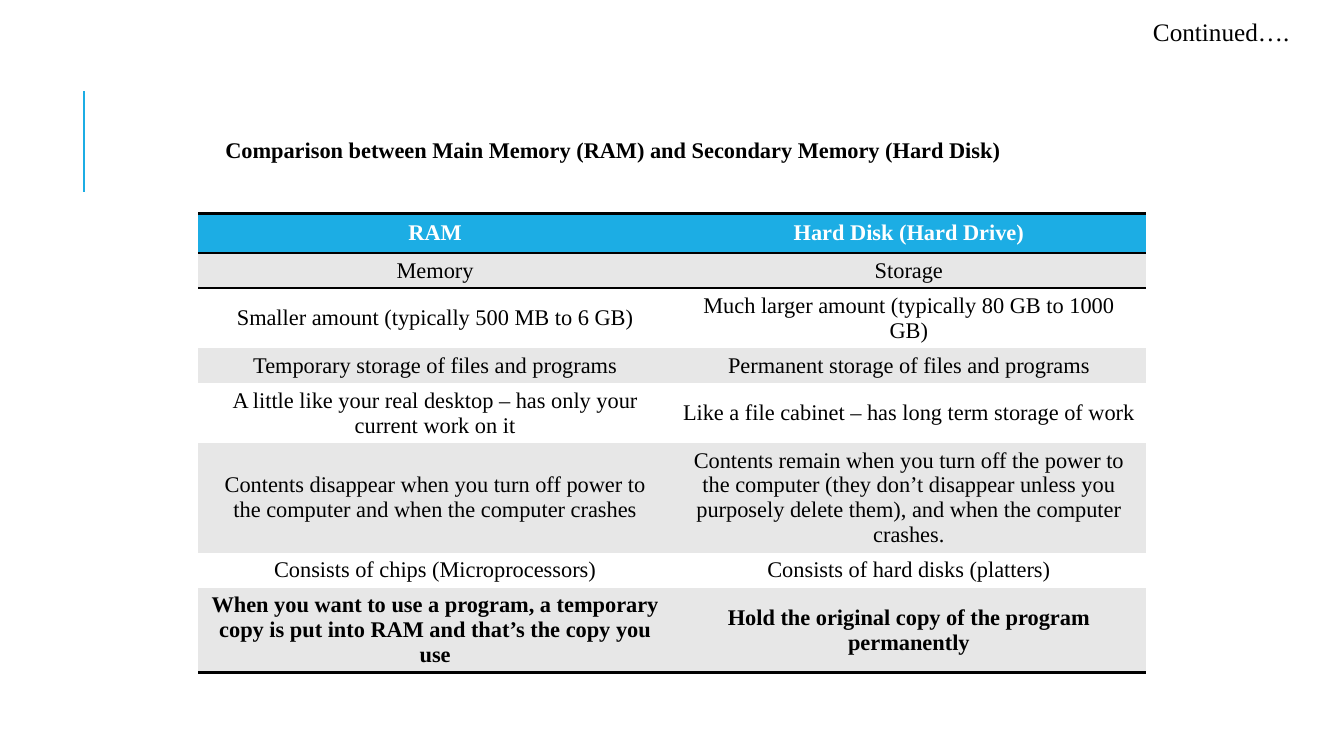
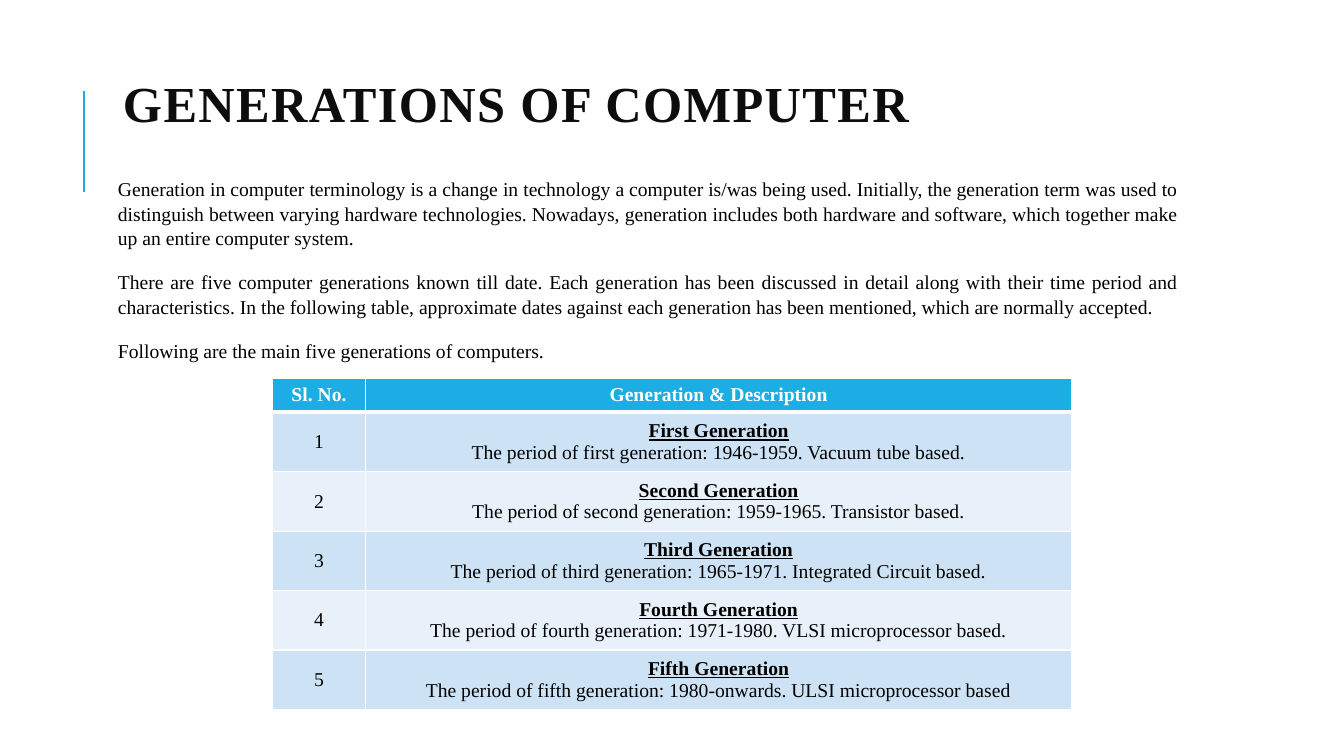
from lxml import etree
from pptx import Presentation
from pptx import util as u
from pptx.dml.color import RGBColor
from pptx.enum import shapes, text
from pptx.oxml.ns import qn

COLORS = {
    "accent": "1CADE4", "title": "0D0D0D", "black": "000000", "white": "FFFFFF",
    "gray": "E7E7E7", "blue": "CDE3F5", "pale": "E8F1FA",
}
FONT = "Times New Roman"
COLUMNS, ROWS = 80, 45
UNIT = u.Inches(7.5) / ROWS
NO_STYLE = "{2D5ABB26-0587-4C30-8999-92F81FD0307C}"
CENTER, JUSTIFY = text.PP_ALIGN.CENTER, text.PP_ALIGN.JUSTIFY
TOP, MIDDLE = text.MSO_ANCHOR.TOP, text.MSO_ANCHOR.MIDDLE

COMPARISON = [
    ("RAM", "Hard Disk (Hard Drive)"),
    ("Memory", "Storage"),
    ("Smaller amount (typically 500 MB to 6 GB)",
     "Much larger amount (typically 80 GB to 1000 GB)"),
    ("Temporary storage of files and programs",
     "Permanent storage of files and programs"),
    ("A little like your real desktop – has only your current work on it",
     "Like a file cabinet – has long term storage of work"),
    ("Contents disappear when you turn off power to the computer and when the computer crashes",
     "Contents remain when you turn off the power to the computer (they don’t disappear "
     "unless you purposely delete them), and when the computer crashes."),
    ("Consists of chips (Microprocessors)", "Consists of hard disks (platters)"),
    ("When you want to use a program, a temporary copy is put into RAM and that’s the copy you use",
     "Hold the original copy of the program permanently"),
]
COMPARISON_LINES = [1, 2, 1, 2, 4, 1, 3]
INTRODUCTION = [
    "Generation in computer terminology is a change in technology a computer is/was being used. "
    "Initially, the generation term was used to distinguish between varying hardware technologies. "
    "Nowadays, generation includes both hardware and software, which together make up an entire "
    "computer system.",
    "There are five computer generations known till date. Each generation has been discussed in "
    "detail along with their time period and characteristics. In the following table, approximate "
    "dates against each generation has been mentioned, which are normally accepted.",
    "Following are the main five generations of computers.",
]
GENERATIONS = [
    ("First", "1946-1959. Vacuum tube based."),
    ("Second", "1959-1965. Transistor based."),
    ("Third", "1965-1971. Integrated Circuit based."),
    ("Fourth", "1971-1980. VLSI microprocessor based."),
    ("Fifth", "1980-onwards. ULSI microprocessor based"),
]


def color(name):
    return RGBColor.from_string(COLORS[name])


def grid(*values):
    return [u.Emu(round(value * UNIT)) for value in values]


def format_paragraph(paragraph, size, ink="black", bold=False, align=None):
    paragraph.alignment = align
    for run in paragraph.runs:
        run.font.name = FONT
        run.font.size = u.Pt(size)
        run.font.bold = bold
        run.font.color.rgb = color(ink)


def format_frame(frame, anchor, inset=None):
    frame.word_wrap = True
    frame.auto_size = text.MSO_AUTO_SIZE.NONE
    frame.vertical_anchor = anchor
    if inset is not None:
        frame.margin_left = frame.margin_right = u.Inches(inset)
        frame.margin_top = frame.margin_bottom = u.Inches(inset)


def add_slide(presentation):
    slide = presentation.slides.add_slide(presentation.slide_layouts[5])
    column, top, bottom = grid(5, 5.4, 11.4)
    line = slide.shapes.add_connector(
        shapes.MSO_CONNECTOR.STRAIGHT, column, bottom, column, top)
    line.line.color.rgb = color("accent")
    line.line.width = u.Pt(1.5)
    etree.SubElement(line._element.spPr, qn("a:effectLst"))
    return slide


def place_title(slide, box, wording, size, ink, align, anchor, inset=None):
    title = slide.shapes.title
    title.left, title.top, title.width, title.height = grid(*box)
    title.text_frame.text = wording
    format_frame(title.text_frame, anchor, inset)
    paragraph = title.text_frame.paragraphs[0]
    format_paragraph(paragraph, size, ink, True, align)
    return paragraph


def add_text(slide, box, wording, size, align=None, inset=None):
    frame = slide.shapes.add_textbox(*grid(*box)).text_frame
    frame.text = "\n".join(wording)
    format_frame(frame, TOP, inset)
    for paragraph in frame.paragraphs:
        format_paragraph(paragraph, size, align=align)
    return frame


def set_borders(cell, borders):
    properties = cell._tc.get_or_add_tcPr()
    sides = [side for side in "LRTB" if side in borders]
    for index, side in enumerate(sides):
        name, width = borders[side]
        line = etree.Element(qn("a:ln" + side), w=str(u.Pt(width)))
        fill = etree.SubElement(line, qn("a:solidFill"))
        etree.SubElement(fill, qn("a:srgbClr"), val=COLORS[name])
        properties.insert(index, line)


def add_table(slide, left, top, widths, heights, rows, size, bands, borders_for):
    frame = slide.shapes.add_table(
        len(rows), len(widths), *grid(left, top, sum(widths), sum(heights)))
    table = frame.table
    table.horz_banding = False
    table._tbl.tblPr.find(qn("a:tableStyleId")).text = NO_STYLE
    for column, width in zip(table.columns, grid(*widths)):
        column.width = width
    for index, (row, height) in enumerate(zip(table.rows, grid(*heights))):
        row.height = height
        for cell, wording in zip(row.cells, rows[index]):
            cell.text = wording
            cell.vertical_anchor = MIDDLE
            set_borders(cell, borders_for(index))
            cell.fill.solid()
            cell.fill.fore_color.rgb = color(bands[index % 2] if index else "accent")
            for paragraph in cell.text_frame.paragraphs:
                format_paragraph(paragraph, size, "black" if index else "white",
                                 index == 0, CENTER)
    return table


def comparison_borders(index):
    rule = ("black", 2)
    return {0: {"T": rule, "B": rule}, 1: {"T": rule},
            len(COMPARISON) - 1: {"B": rule}}.get(index, {})


def generation_borders(index):
    thin, thick = ("white", 1), ("white", 3)
    return {"L": thin, "R": thin, "T": thick if index == 1 else thin,
            "B": thick if index == 0 else thin}


def build_comparison(presentation):
    slide = add_slide(presentation)
    place_title(slide, (8.28, 7.8, 56.4, 2),
                "Comparison between Main Memory (RAM) and Secondary Memory (Hard Disk)",
                16, "black", CENTER, TOP, 0.05)
    heights = [2.34] + [0.62 + 1.47 * lines for lines in COMPARISON_LINES]
    table = add_table(slide, 11.8, 12.72, [28.2] * 2, heights, COMPARISON, 16,
                      ("white", "gray"), comparison_borders)
    for cell in table.rows[len(COMPARISON) - 1].cells:
        format_paragraph(cell.text_frame.paragraphs[0], 16, bold=True, align=CENTER)
    add_text(slide, (68.04, 0.66, 10.74, 2.4), ["Continued…."], 18)


def build_generations(presentation):
    slide = add_slide(presentation)
    title = place_title(slide, (6.72, 1.5, 63.78, 9.84), "GENERATIONS OF COMPUTER",
                        36, "title", JUSTIFY, MIDDLE)
    title.line_spacing = 0.8
    title.runs[0].font._element.set("spc", "100")
    body = add_text(slide, (6.72, 10.2, 63.78, 12), INTRODUCTION, 14, JUSTIFY, 0.05)
    for index, paragraph in enumerate(body.paragraphs):
        paragraph.line_spacing = 1.04
        paragraph.space_before = u.Pt(12 if index else 0)
        paragraph.space_after = u.Pt(2)
    rows = [("Sl. No.", "Generation & Description")]
    for number, (name, period) in enumerate(GENERATIONS, 1):
        rows.append((str(number), f"{name} Generation\n"
                     f"The period of {name.lower()} generation: {period}"))
    table = add_table(slide, 16.2, 22.5, [5.58, 42], [2.04] + [3.54] * len(GENERATIONS),
                      rows, 14, ("pale", "blue"), generation_borders)
    for index in range(1, len(rows)):
        heading = table.cell(index, 1).text_frame.paragraphs[0].runs[0]
        heading.font.bold = heading.font.underline = True


def main():
    presentation = Presentation()
    presentation.slide_width, presentation.slide_height = grid(COLUMNS, ROWS)
    build_comparison(presentation)
    build_generations(presentation)
    presentation.save("out.pptx")


if __name__ == "__main__":
    main()
